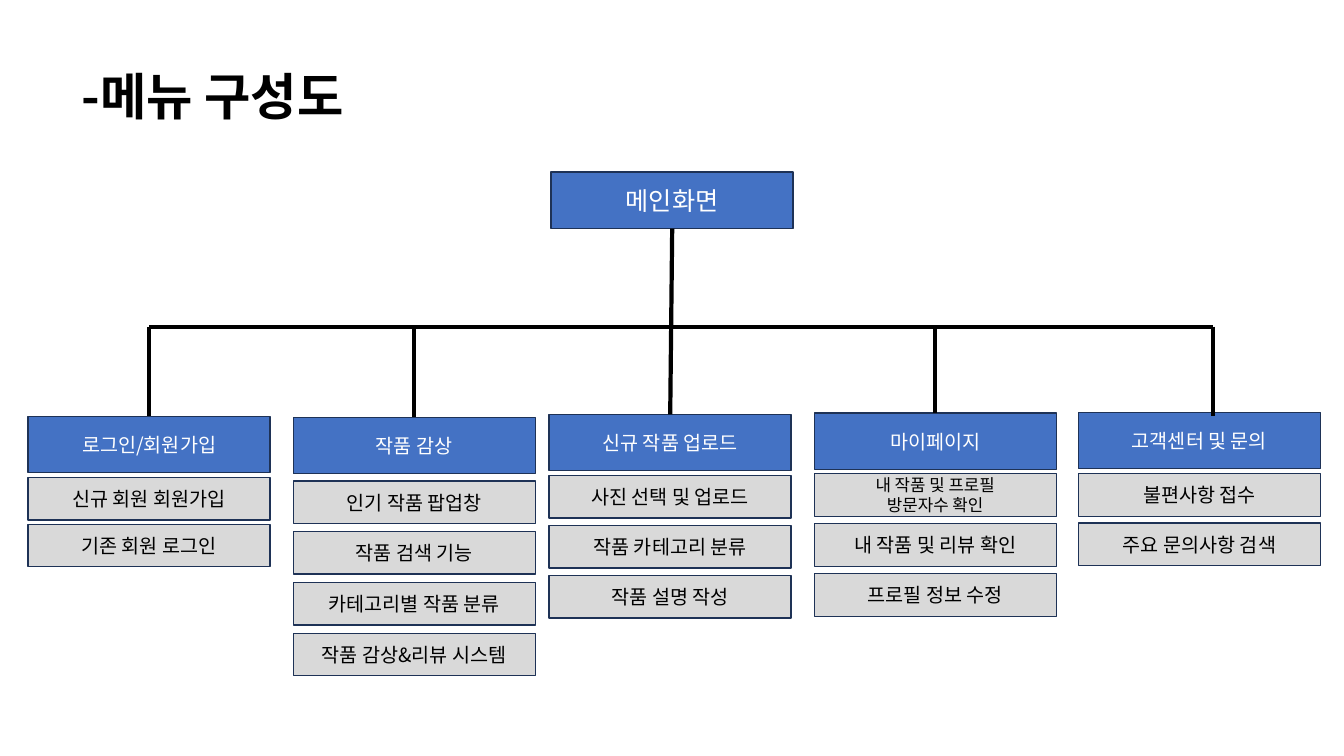
from lxml import etree
from pptx import Presentation
from pptx.dml.color import RGBColor
from pptx.enum.shapes import MSO_CONNECTOR, MSO_SHAPE
from pptx.enum.text import MSO_ANCHOR, MSO_AUTO_SIZE, PP_ALIGN
from pptx.oxml.ns import qn
from pptx.util import Cm, Pt

RECTANGLE = MSO_SHAPE.RECTANGLE
STRAIGHT = MSO_CONNECTOR.STRAIGHT
MIDDLE = MSO_ANCHOR.MIDDLE
CENTER = PP_ALIGN.CENTER
GROW = MSO_AUTO_SIZE.SHAPE_TO_FIT_TEXT

FONT = "Noto Sans CJK KR"
BLUE, GREY, NAVY = "4472C4", "D9D9D9", "1E3256"
BLACK, WHITE = "000000", "FFFFFF"
BOX_WIDTH, HEADER_HEIGHT, ITEM_HEIGHT = 6.1, 1.42, 1.07
BAR_TOP, DROP_BOTTOM = 8.23, 10.49

presentation = Presentation()
presentation.slide_width = Cm(33.87)
presentation.slide_height = Cm(19.05)
slide = presentation.slides.add_slide(presentation.slide_layouts[6])


def add_box(left, top, height, lines, fill, color, size):
    shape = slide.shapes.add_shape(
        RECTANGLE, Cm(left), Cm(top), Cm(BOX_WIDTH), Cm(height))
    shape.shadow.inherit = False
    shape.fill.solid()
    shape.fill.fore_color.rgb = RGBColor.from_string(fill)
    shape.line.color.rgb = RGBColor.from_string(NAVY)
    shape.line.width = Pt(1)
    frame = shape.text_frame
    frame.word_wrap = True
    frame.vertical_anchor = MIDDLE
    frame.text = lines
    for paragraph in frame.paragraphs:
        paragraph.alignment = CENTER
        paragraph.font.name = FONT
        paragraph.font.size = Pt(size)
        paragraph.font.color.rgb = RGBColor.from_string(color)
    return shape


def add_line(x1, y1, x2, y2):
    connector = slide.shapes.add_connector(
        STRAIGHT, Cm(x1), Cm(y1), Cm(x2), Cm(y2))
    connector.line.color.rgb = RGBColor.from_string(BLACK)
    connector.line.width = Pt(3)
    etree.SubElement(connector._element.spPr, qn("a:effectLst"))
    return connector


main_screen = add_box(13.89, 4.34, HEADER_HEIGHT, "메인화면", BLUE, WHITE, 18)

# left, header top, first item top, item pitch, header, items
menus = [
    (0.71, 10.49, 12.04, 1.17, "로그인/회원가입",
     ["신규 회원 회원가입", "기존 회원 로그인"]),
    (7.39, 10.52, 12.12, 1.28, "작품 감상",
     ["인기 작품 팝업창", "작품 검색 기능", "카테고리별 작품 분류",
      "작품 감상&리뷰 시스템"]),
    (13.84, 10.44, 11.98, 1.26, "신규 작품 업로드",
     ["사진 선택 및 업로드", "작품 카테고리 분류", "작품 설명 작성"]),
    (20.52, 10.41, 11.94, 1.26, "마이페이지",
     ["내 작품 및 프로필\n방문자수 확인", "내 작품 및 리뷰 확인",
      "프로필 정보 수정"]),
    (27.18, 10.39, 11.94, 1.24, "고객센터 및 문의",
     ["불편사항 접수", "주요 문의사항 검색"]),
]
headers = []
for left, header_top, item_top, pitch, title, items in menus:
    headers.append(
        add_box(left, header_top, HEADER_HEIGHT, title, BLUE, WHITE, 14))
    for row, item in enumerate(items):
        size = 12 if "\n" in item else 14
        add_box(left, item_top + row * pitch, ITEM_HEIGHT, item, GREY, BLACK, size)

login, gallery, upload, my_page, support = headers

trunk = add_line(16.94, 5.76, 16.89, 10.44)
trunk.begin_connect(main_screen, 2)
trunk.end_connect(upload, 0)

add_line(30.58, BAR_TOP, 3.76, BAR_TOP)
for x, header in [(3.76, login), (10.44, gallery), (23.57, my_page)]:
    drop = add_line(x, BAR_TOP, x, DROP_BOTTOM)
    drop.end_connect(header, 0)
add_line(30.56, BAR_TOP, 30.56, DROP_BOTTOM)

title_box = slide.shapes.add_textbox(Cm(0.71), Cm(1.52), Cm(9.58), Cm(1.8))
title_frame = title_box.text_frame
title_frame.word_wrap = True
title_frame.auto_size = GROW
title_frame.text = "-메뉴 구성도 "
heading = title_frame.paragraphs[0]
heading.alignment = CENTER
heading.font.name = FONT
heading.font.size = Pt(36)
heading.font.bold = True
heading.font.color.rgb = RGBColor.from_string(BLACK)

presentation.save("out.pptx")
